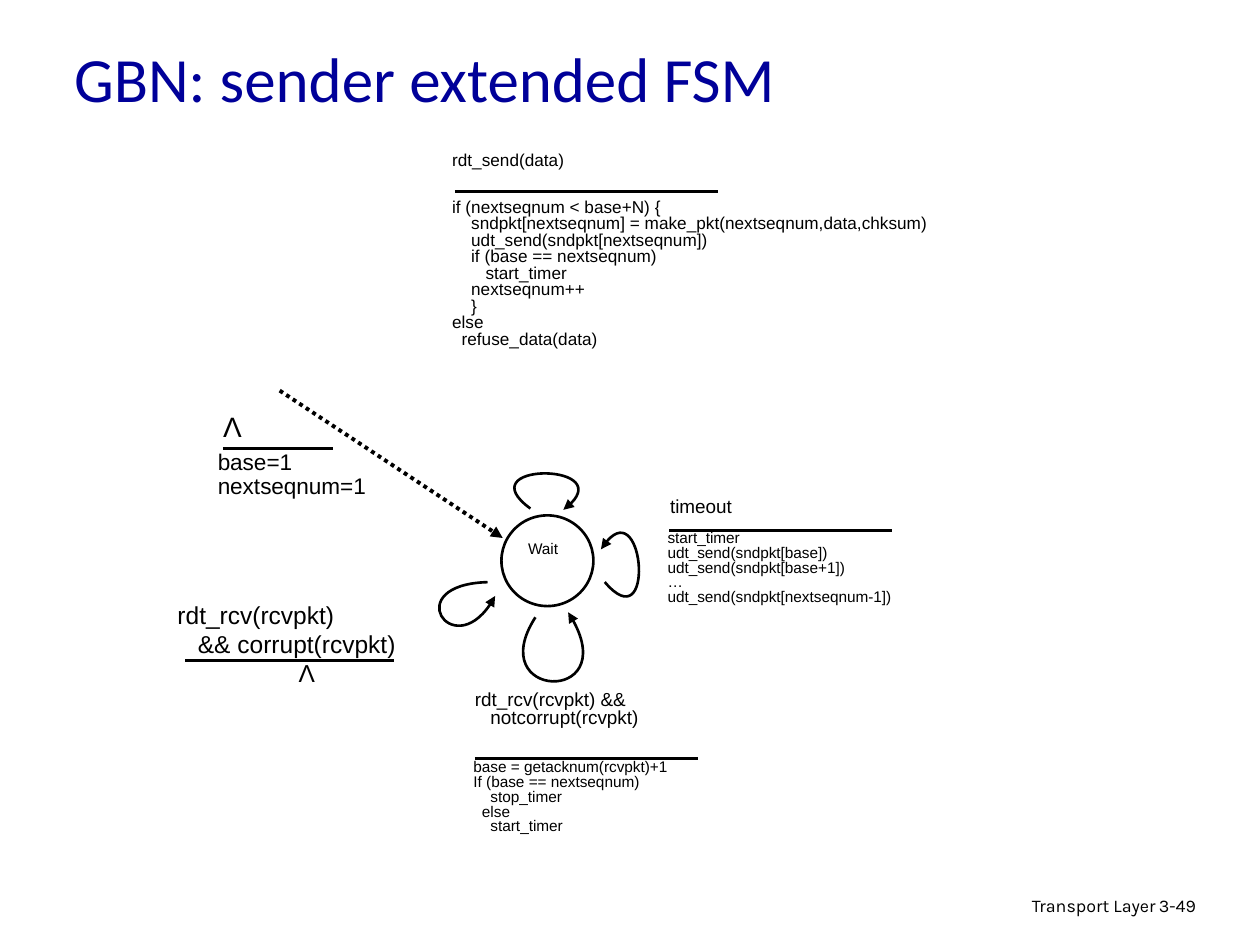
from dataclasses import dataclass

from lxml.etree import SubElement
from pptx import Presentation
from pptx.dml.color import RGBColor
from pptx.enum.dml import MSO_LINE_DASH_STYLE as Dash
from pptx.enum.shapes import MSO_CONNECTOR as Connector, MSO_SHAPE as Shape
from pptx.enum.text import MSO_ANCHOR as Anchor, MSO_AUTO_SIZE as AutoSize, PP_ALIGN as Align
from pptx.oxml.ns import qn
from pptx.util import Inches, Pt


@dataclass(frozen=True)
class Theme:
    ink: RGBColor = RGBColor(0, 0, 0)
    paper: RGBColor = RGBColor(255, 255, 255)
    heading: RGBColor = RGBColor(0, 0, 0x99)
    body_font: str = "Arial"
    title_font: str = "Calibri"
    footer_font: str = "Karla"
    title: float = 36
    footer: float = 10.2
    code_small: float = 8.8
    code: float = 9.8
    event: float = 10.8
    start: float = 12.9
    corrupt: float = 14
    empty_action: float = 16
    thin: float = 1.5
    thick: float = 2.25


THEME = Theme()

SEND_ACTION = """if (nextseqnum < base+N) {
    sndpkt[nextseqnum] = make_pkt(nextseqnum,data,chksum)
    udt_send(sndpkt[nextseqnum])
    if (base == nextseqnum)
       start_timer
    nextseqnum++
    }
else
  refuse_data(data)"""

TIMEOUT_ACTION = """start_timer
udt_send(sndpkt[base])
udt_send(sndpkt[base+1])
…
udt_send(sndpkt[nextseqnum-1])"""

ACK_ACTION = """base = getacknum(rcvpkt)+1
If (base == nextseqnum)
    stop_timer
  else
    start_timer"""

# Text of each transition: box, words, size, line spacing
LABELS = [
    ((3.49, 1.17, 2.55, 0.28), "rdt_send(data)", THEME.code, 0.8),
    ((3.49, 1.54, 6.04, 1.6), SEND_ACTION, THEME.code, 0.8),
    ((5.22, 3.91, 1.2, 0.3), "timeout", THEME.event, 0.8),
    ((5.2, 4.17, 3.04, 0.91), TIMEOUT_ACTION, THEME.code_small, 0.8),
    ((3.67, 5.44, 3.1, 0.49), "rdt_rcv(rcvpkt) &&\n   notcorrupt(rcvpkt)", THEME.event, 0.8),
    ((3.66, 5.99, 4.03, 0.91), ACK_ACTION, THEME.code_small, 0.8),
    ((1.63, 3.53, 1.62, 0.55), "base=1\nnextseqnum=1", THEME.start, 0.9),
]

# Rules between event and action: left, right, height on the slide, width
RULES = [
    (3.61, 5.7, 1.52, THEME.thick),
    (5.31, 7.08, 4.21, THEME.thin),
    (3.77, 5.54, 6.02, THEME.thick),
    (1.77, 2.64, 3.56, THEME.thin),
    (1.47, 3.13, 5.24, THEME.thin),
]

# Loops back to the state: start, two control points, end, and rotation
LOOPS = [
    ([(4.54, 4.0), (4.14, 4.47), (4.23, 3.21), (4.57, 3.74)], 85.7),
    ([(4.8, 4.62), (5.2, 5.09), (5.11, 3.83), (4.77, 4.36)], 0),
    ([(4.25, 4.9), (3.83, 5.55), (4.99, 5.6), (4.51, 4.86)], 0),
    ([(3.87, 4.62), (3.17, 4.64), (3.62, 5.31), (3.93, 4.73)], 0),
]


def add_text(shapes, box, words, size, spacing=1.0, font=THEME.body_font,
             color=THEME.ink, align=Align.LEFT):
    frame = shapes.add_textbox(*map(Inches, box)).text_frame
    frame.word_wrap = True
    frame.text = words
    for paragraph in frame.paragraphs:
        paragraph.alignment = align
        paragraph.line_spacing = spacing
        for name, value in {"name": font, "size": Pt(size)}.items():
            setattr(paragraph.font, name, value)
        paragraph.font.color.rgb = color
    return frame


def style_line(line, width):
    line.color.rgb = THEME.ink
    line.width = Pt(width)


def add_arrowhead(shape):
    outline = shape.line._get_or_add_ln()
    SubElement(outline, qn("a:tailEnd"), type="triangle")


def add_straight(shapes, start, end, width):
    connector = shapes.add_connector(
        Connector.STRAIGHT, *map(Inches, (*start, *end)))
    style_line(connector.line, width)
    SubElement(connector._element.spPr, qn("a:effectLst"))
    return connector


def add_loop(shapes, points, rotation):
    """Draw one cubic curve through the start and end, with its arrowhead."""
    start, *rest = [tuple(map(Inches, point)) for point in points]
    builder = shapes.build_freeform(*start)
    builder.add_line_segments(rest, close=False)
    loop = builder.convert_to_shape()
    outline = loop._element.spPr.find(".//" + qn("a:path"))
    segments = outline.findall(qn("a:lnTo"))
    curve = SubElement(outline, qn("a:cubicBezTo"))
    for segment in segments:
        curve.append(segment[0])
        outline.remove(segment)
    loop.rotation = rotation
    loop.shadow.inherit = False
    loop.fill.background()
    style_line(loop.line, THEME.thin)
    add_arrowhead(loop)


def add_state(shapes):
    state = shapes.add_group_shape().shapes
    circle = state.add_shape(Shape.OVAL, *map(Inches, (3.98, 4.09, 0.73, 0.72)))
    circle.shadow.inherit = False
    circle.fill.solid()
    circle.fill.fore_color.rgb = THEME.paper
    style_line(circle.line, THEME.thin)
    add_text(state, (3.87, 4.26, 0.88, 0.26), "Wait", THEME.code_small, 0.8,
             align=Align.CENTER)


def add_footer(shapes):
    footer = {"size": THEME.footer, "spacing": 0.9, "font": THEME.footer_font}
    add_text(shapes, (6.1, 7.07, 3.17, 0.3), "Transport Layer", align=Align.RIGHT, **footer)
    add_text(shapes, (9.1, 7.07, 0.74, 0.3), "3-49", **footer)


def main():
    deck = Presentation()
    deck.slide_width, deck.slide_height = Inches(10), Inches(7.5)
    shapes = deck.slides.add_slide(deck.slide_layouts[6]).shapes

    add_footer(shapes)
    title = add_text(shapes, (0.49, 0.23, 8.5, 0.77), "GBN: sender extended FSM",
                     THEME.title, font=THEME.title_font, color=THEME.heading)
    title.vertical_anchor = Anchor.MIDDLE

    add_state(shapes)
    entry = add_straight(shapes, (2.22, 3.1), (3.99, 4.27), THEME.thick)
    entry.line.dash_style = Dash.ROUND_DOT
    add_arrowhead(entry)

    for label in LABELS:
        add_text(shapes, *label)
    corrupt = add_text(shapes, (1.31, 4.71, 2.25, 1.24),
                       "rdt_rcv(rcvpkt)\n   && corrupt(rcvpkt)\nΛ", THEME.corrupt)
    corrupt.paragraphs[-1].alignment = Align.CENTER
    no_event = add_text(shapes, (1.67, 3.2, 0.35, 0.37), "Λ", THEME.empty_action,
                        align=Align.CENTER)
    no_event.word_wrap = False
    no_event.auto_size = AutoSize.SHAPE_TO_FIT_TEXT

    for left, right, level, width in RULES:
        add_straight(shapes, (left, level), (right, level), width)
    for points, rotation in LOOPS:
        add_loop(shapes, points, rotation)

    deck.save("out.pptx")


if __name__ == "__main__":
    main()
